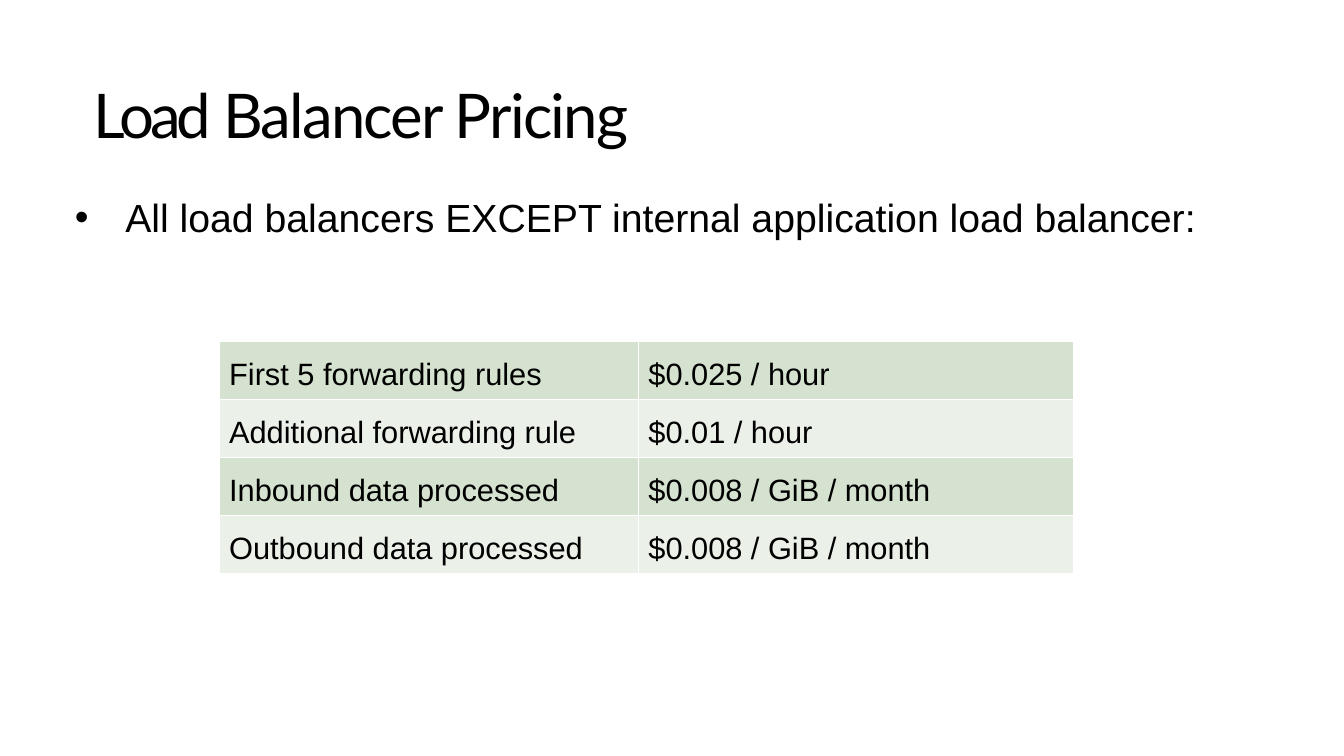
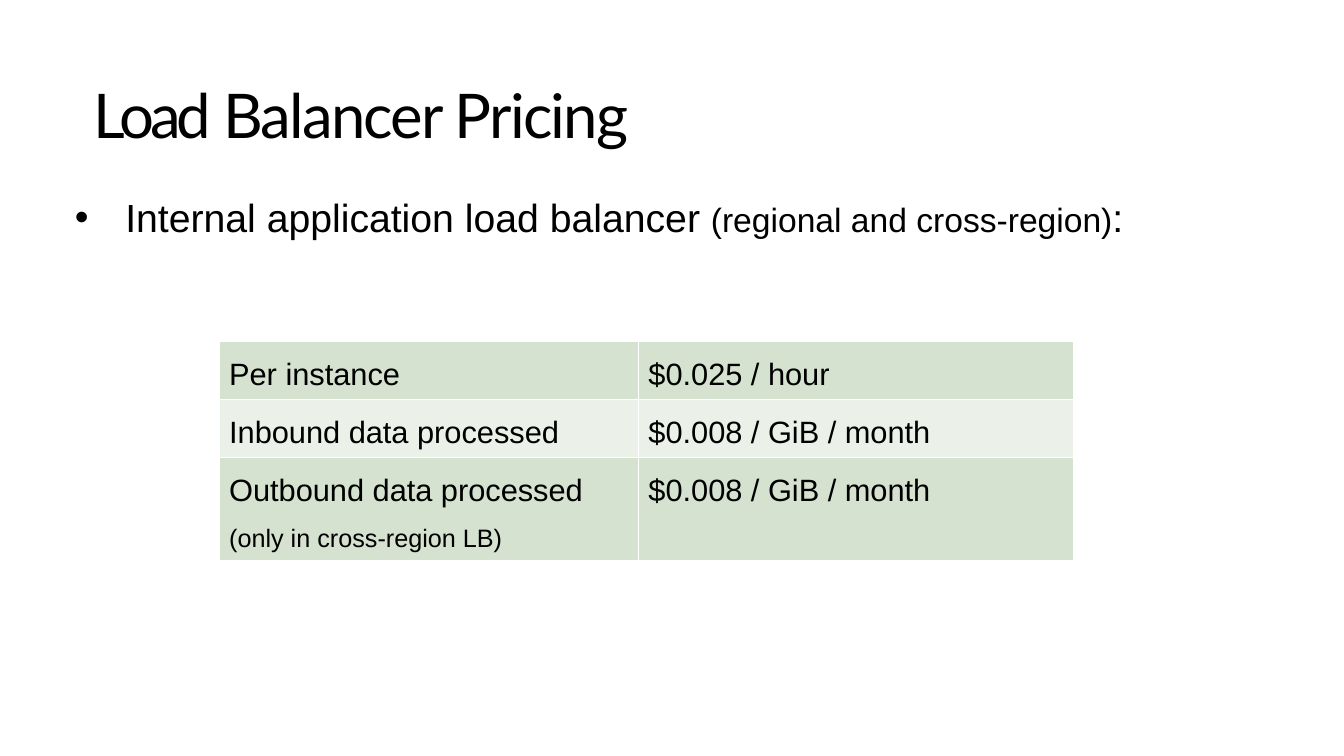
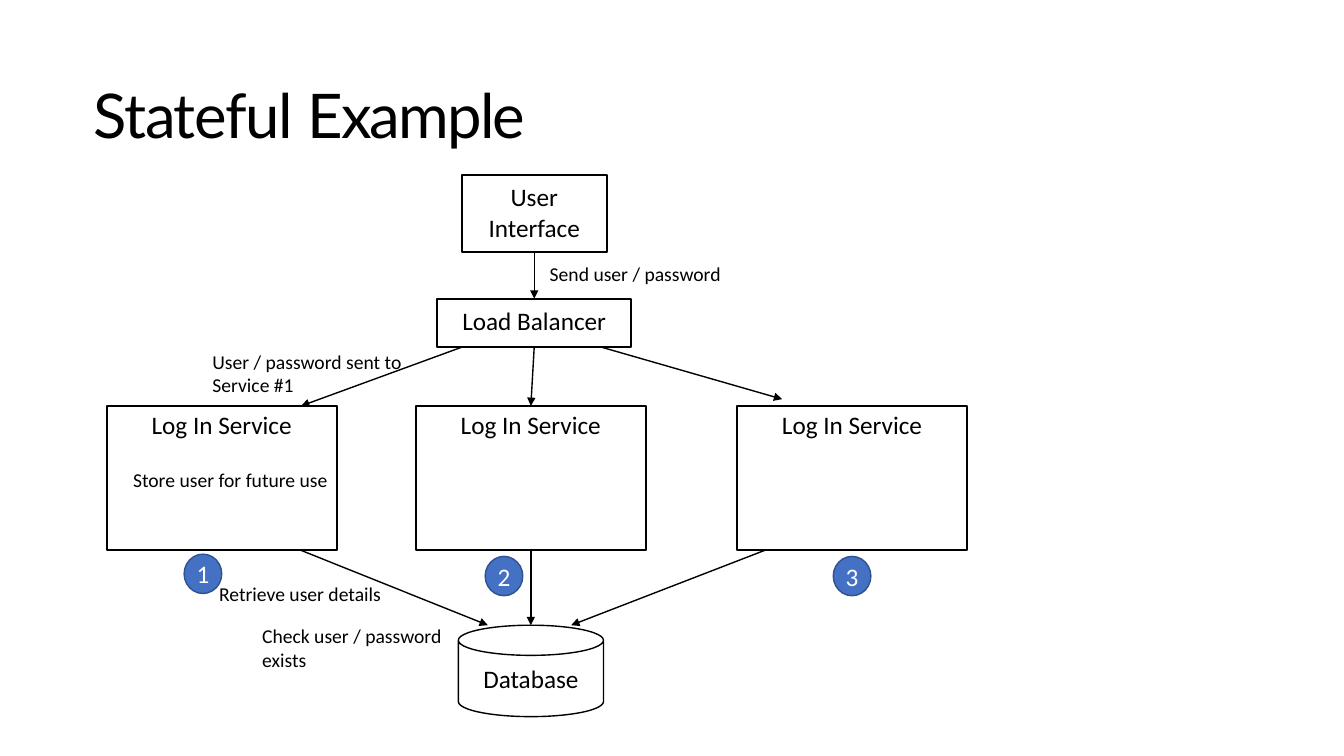
from lxml import etree
from pptx import Presentation
from pptx.dml.color import RGBColor
from pptx.enum.shapes import MSO_CONNECTOR, MSO_SHAPE
from pptx.enum.text import MSO_ANCHOR, MSO_AUTO_SIZE, PP_ALIGN
from pptx.oxml.ns import qn
from pptx.util import Emu, Inches, Pt

STRAIGHT = MSO_CONNECTOR.STRAIGHT
RECTANGLE, OVAL, CAN = MSO_SHAPE.RECTANGLE, MSO_SHAPE.OVAL, MSO_SHAPE.CAN
TOP, MIDDLE = MSO_ANCHOR.TOP, MSO_ANCHOR.MIDDLE
LEFT, CENTER = PP_ALIGN.LEFT, PP_ALIGN.CENTER
NO_AUTOFIT = MSO_AUTO_SIZE.NONE
TITLE_AND_BODY, TITLE_ONLY = 1, 5
TOP_SIDE, BOTTOM_SIDE = 0, 2

COLORS = {
    "ink": "000000",
    "paper": "FFFFFF",
    "band_dark": "D4E2CF",
    "band_light": "EBF0E9",
    "badge": "4471C4",
    "badge_edge": "2E528F",
}
FONTS = {"title": "Lato", "body": "Arial", "diagram": "Calibri"}
PRICING_TITLE = [("Load ", -2.8), ("Balancer Pricing", -1.3)]


def color(name):
    return RGBColor.from_string(COLORS[name])


def set_font(font, family, size, ink="ink"):
    font.name, font.size = FONTS[family], Pt(size)
    font.color.rgb = color(ink)


def set_indent(paragraph, left, first=0):
    properties = paragraph._p.get_or_add_pPr()
    properties.set("marL", str(Inches(left)))
    properties.set("indent", str(Inches(first)))


class Deck:
    """Style and current slide; every place is a percentage of the slide."""

    def __init__(self):
        self.presentation = Presentation()
        self.presentation.slide_width = Inches(13.33)
        self.presentation.slide_height = Inches(7.5)
        self.slide = None

    def across(self, share):
        return Emu(round(self.presentation.slide_width * share / 100))

    def down(self, share):
        return Emu(round(self.presentation.slide_height * share / 100))

    def area(self, left, top, width, height):
        return self.across(left), self.down(top), self.across(width), self.down(height)

    def move(self, shape, *place):
        shape.left, shape.top, shape.width, shape.height = self.area(*place)

    def frame(self, shape, anchor=TOP, side=0, top=0.01):
        """Set up the text frame; insets are in inches."""
        frame = shape.text_frame
        frame.word_wrap, frame.auto_size = True, NO_AUTOFIT
        frame.vertical_anchor = anchor
        frame.margin_left = frame.margin_right = Inches(side)
        frame.margin_top, frame.margin_bottom = Inches(top), 0
        return frame

    def add_slide(self, layout, title_runs):
        """Start a slide; each title run is (text, letter spacing in points)."""
        layouts = self.presentation.slide_layouts
        self.slide = self.presentation.slides.add_slide(layouts[layout])
        title = self.slide.shapes.title
        self.move(title, 6.9, 5.3, 86.2, 19.3)
        paragraph = self.frame(title, MIDDLE).paragraphs[0]
        paragraph.alignment = LEFT
        set_font(paragraph.font, "title", 44)
        set_indent(paragraph, 0.01)
        for text, spacing in title_runs:
            run = paragraph.add_run()
            run.text = text
            run.font._element.set("spc", str(round(spacing * 100)))

    def bullet(self, runs):
        """Fill the body with one bullet; each run is (text, size)."""
        body = self.slide.placeholders[1]
        self.move(body, 5.5, 25.5, 83.7, 6.5)
        paragraph = self.frame(body).paragraphs[0]
        paragraph.space_before = Pt(0)
        set_font(paragraph.font, "body", 28)
        set_indent(paragraph, 0.51, -0.5)
        for text, size in runs:
            run = paragraph.add_run()
            run.text, run.font.size = text, Pt(size)

    def price_table(self, rows, heights):
        widths = (31.2, 32.4)
        place = self.area(16.3, 45.2, sum(widths), sum(heights))
        table = self.slide.shapes.add_table(len(rows), len(widths), *place).table
        table.first_row = table.horz_banding = False
        for column, width in zip(table.columns, widths):
            column.width = self.across(width)
        for index, (texts, height) in enumerate(zip(rows, heights)):
            table.rows[index].height = self.down(height)
            band = "band_light" if index % 2 else "band_dark"
            for cell, text in zip(table.rows[index].cells, texts):
                self.price_cell(cell, text, band)

    def price_cell(self, cell, text, band):
        """Fill a cell; lines after the first are smaller remarks."""
        cell.margin_left, cell.margin_top = Inches(0.1), Inches(0.16)
        cell.margin_right = cell.margin_bottom = 0
        cell.text = text
        for index, paragraph in enumerate(cell.text_frame.paragraphs):
            set_font(paragraph.font, "body", 18 if index else 22)
            if index:
                paragraph.space_before = Pt(11.8)
        properties = cell._tc.get_or_add_tcPr()
        for side in ("lnL", "lnR", "lnT", "lnB"):
            border = etree.SubElement(properties, qn(f"a:{side}"), w=str(Pt(1)))
            fill = etree.SubElement(border, qn("a:solidFill"))
            etree.SubElement(fill, qn("a:srgbClr"), val=COLORS["paper"])
        cell.fill.solid()
        cell.fill.fore_color.rgb = color(band)

    def node(self, kind, text, center, top, width, height, *, fill=None,
             edge="ink", edge_width=1.5, ink="ink", anchor=TOP, side=0, inset=0):
        """Add a labelled shape around a vertical centre line."""
        place = self.area(center - width / 2, top, width, height)
        shape = self.slide.shapes.add_shape(kind, *place)
        shape.shadow.inherit = False
        if fill:
            shape.fill.solid()
            shape.fill.fore_color.rgb = color(fill)
        else:
            shape.fill.background()
        shape.line.color.rgb, shape.line.width = color(edge), Pt(edge_width)
        paragraph = self.frame(shape, anchor, side, inset).paragraphs[0]
        paragraph.text, paragraph.alignment = text, CENTER
        set_font(paragraph.font, "diagram", 18, ink)
        return shape

    def badge(self, number, center, top):
        shape = self.node(OVAL, str(number), center, top, 2.8, 5.2, fill="badge",
                          edge="badge_edge", edge_width=1, ink="paper", anchor=MIDDLE)
        shape.text_frame.word_wrap = False

    def label(self, text, left, top, width, height):
        box = self.slide.shapes.add_textbox(*self.area(left, top, width, height))
        paragraph = self.frame(box).paragraphs[0]
        paragraph.text = text
        set_font(paragraph.font, "diagram", 14)

    def arrow(self, start, end, source=None, target=None):
        """Draw an arrow, joined to the source's bottom and target's top if given."""
        (x1, y1), (x2, y2) = start, end
        line = self.slide.shapes.add_connector(
            STRAIGHT, self.across(x1), self.down(y1), self.across(x2), self.down(y2))
        if source:
            line.begin_connect(source, BOTTOM_SIDE)
        if target:
            line.end_connect(target, TOP_SIDE)
        line.line.color.rgb, line.line.width = color("ink"), Pt(1)
        etree.SubElement(line.line._get_or_add_ln(), qn("a:tailEnd"), type="triangle")
        etree.SubElement(line._element.spPr, qn("a:effectLst"))


def build_pricing(deck, bullet_runs, rows, heights):
    deck.add_slide(TITLE_AND_BODY, PRICING_TITLE)
    deck.bullet(bullet_runs)
    deck.price_table(rows, heights)


def build_stateful(deck):
    deck.add_slide(TITLE_ONLY, [("Stateful ", -1), ("Example", -1.4)])
    entry, middle = 39.75, 39.5
    balancer_bottom, service_top, service_bottom, database_top = 45.9, 53.7, 72.8, 82.7

    interface = deck.node(RECTANGLE, "User Interface", entry, 23.1, 10.8, 10.3,
                          side=0.22, inset=0.07)
    balancer = deck.node(RECTANGLE, "Load Balancer", entry, 39.5, 14.4, 6.4,
                         fill="paper", inset=0.07)
    services = [
        deck.node(RECTANGLE, "Log In Service", center, service_top, 17.1,
                  service_bottom - service_top, inset=0.03)
        for center in (16.5, middle, 63.4)
    ]
    remark = services[0].text_frame.add_paragraph()
    remark.text, remark.alignment = "Store user for future use", LEFT
    remark.space_before = Pt(20.2)
    set_font(remark.font, "diagram", 14)
    set_indent(remark, 0.26)
    database = deck.node(CAN, "Database", middle, database_top, 10.8, 12.1,
                         edge_width=1, anchor=MIDDLE)
    database.adjustments[0] = 0.33

    deck.arrow((entry, 33.4), (entry, 39.5), interface, balancer)
    deck.arrow((entry, balancer_bottom), (middle, service_top), balancer, services[1])
    deck.arrow((middle, service_bottom), (middle, database_top), services[1])
    for start, end in (
        ((34.4, balancer_bottom), (22.4, service_top)),
        ((44.7, balancer_bottom), (58.2, 52.8)),
        ((22.4, service_bottom), (36.3, database_top)),
        ((56.9, service_bottom), (42.5, database_top)),
    ):
        deck.arrow(start, end)

    for number, (center, top) in enumerate(((15.1, 73.3), (37.5, 73.6), (63.4, 73.6)), 1):
        deck.badge(number, center, top)
    for text, *place in (
        ("Send user / password", 40.9, 34.5, 13.5, 3.5),
        ("User / password sent to Service #1", 15.8, 46.1, 14.3, 6.7),
        ("Check user / password exists", 19.5, 82.4, 13.6, 6.7),
        ("Retrieve user details", 16.3, 76.9, 12.5, 3.5),
    ):
        deck.label(text, *place)


def main():
    deck = Deck()
    row, tall_row = 7.67, 13.6
    data_price = "$0.008 / GiB / month"
    build_pricing(
        deck,
        [("All load balancers EXCEPT internal application load balancer:", 28)],
        [("First 5 forwarding rules", "$0.025 / hour"),
         ("Additional forwarding rule", "$0.01 / hour"),
         ("Inbound data processed", data_price),
         ("Outbound data processed", data_price)],
        [row] * 4)
    build_pricing(
        deck,
        [("Internal application load balancer ", 28),
         ("(regional and cross-region)", 24), (":", 28)],
        [("Per instance", "$0.025 / hour"),
         ("Inbound data processed", data_price),
         ("Outbound data processed\n(only in cross-region LB)", data_price)],
        [row, row, tall_row])
    build_stateful(deck)
    deck.presentation.save("out.pptx")


if __name__ == "__main__":
    main()
